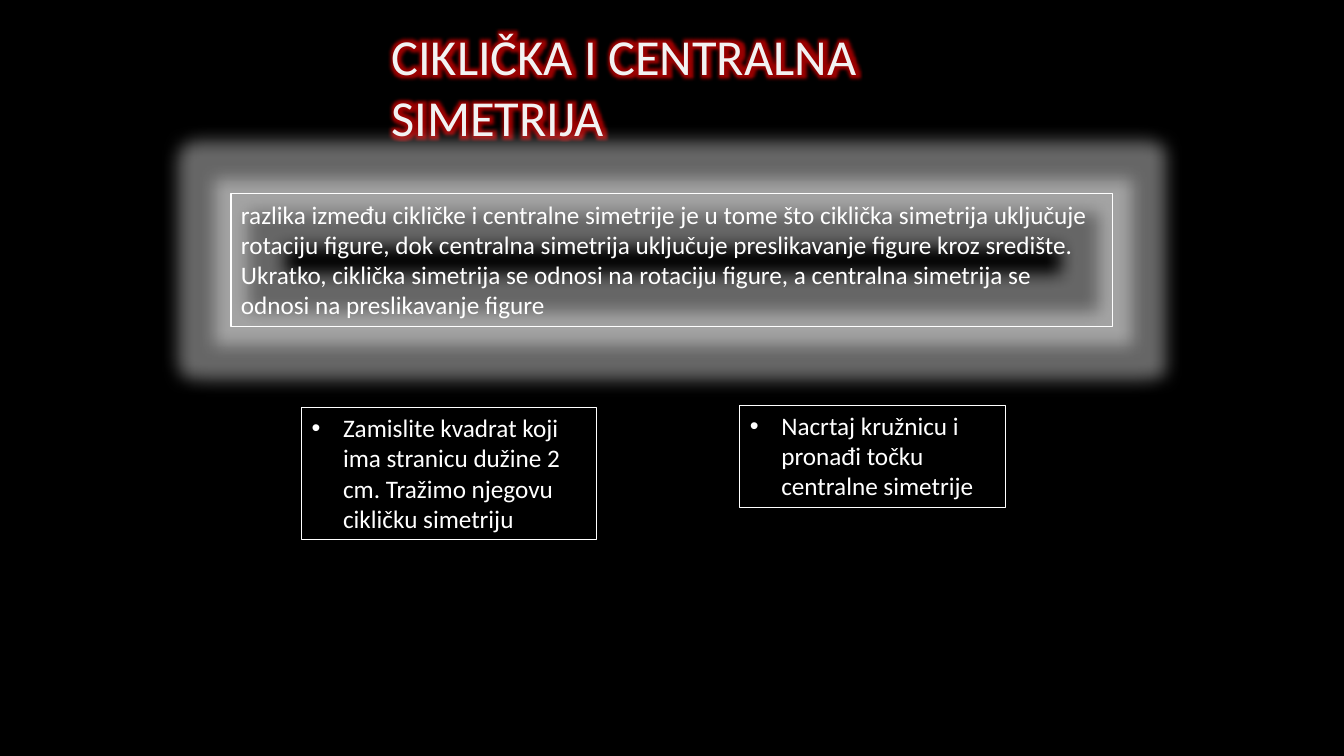
from lxml import etree
from pptx import Presentation
from pptx.dml.color import RGBColor
from pptx.enum.shapes import MSO_SHAPE
from pptx.enum.text import MSO_ANCHOR, MSO_AUTO_SIZE, PP_ALIGN
from pptx.oxml.ns import qn
from pptx.util import Pt

RECT = MSO_SHAPE.RECTANGLE
TOP = MSO_ANCHOR.TOP
LEFT = PP_ALIGN.LEFT
GROW = MSO_AUTO_SIZE.SHAPE_TO_FIT_TEXT
FONT = "Calibri"
COLORS = {"black": "000000", "white": "FFFFFF", "title": "F2F2F2", "red": "FF0000"}

TITLE = "CIKLIČKA I CENTRALNA SIMETRIJA"
INTRO = (
    "razlika između cikličke i centralne simetrije je u tome što ciklička "
    "simetrija uključuje rotaciju figure, dok centralna simetrija uključuje "
    "preslikavanje figure kroz središte. Ukratko, ciklička simetrija se odnosi "
    "na rotaciju figure, a centralna simetrija se odnosi na preslikavanje figure"
)
SQUARE = "Zamislite kvadrat koji ima stranicu dužine 2 cm. Tražimo njegovu cikličku simetriju"
CIRCLE = "Nacrtaj kružnicu i pronađi točku centralne simetrije"


def color(name):
    return RGBColor.from_string(COLORS[name])


def add_glow(props, name, radius, alpha):
    for old in props.findall(qn("a:effectLst")):
        props.remove(old)
    effects = etree.SubElement(props, qn("a:effectLst"))
    glow = etree.SubElement(effects, qn("a:glow"), rad=str(Pt(radius)))
    tone = etree.SubElement(glow, qn("a:srgbClr"), val=COLORS[name])
    etree.SubElement(tone, qn("a:alpha"), val=str(alpha * 1000))


def add_rect(slide, box, line, width):
    shape = slide.shapes.add_shape(RECT, *map(Pt, box))
    shape.shadow.inherit = False
    shape.fill.background()
    shape.line.color.rgb = color(line)
    shape.line.width = Pt(width)
    return shape


def set_text(shape, text, size, tone, bullet=False):
    frame = shape.text_frame
    frame.word_wrap = True
    frame.auto_size = GROW
    frame.vertical_anchor = TOP
    para = frame.paragraphs[0]
    para.text = text
    para.alignment = LEFT
    if bullet:
        props = para._p.get_or_add_pPr()
        props.set("marL", str(Pt(22.5)))
        props.set("indent", str(Pt(-22.5)))
        etree.SubElement(props, qn("a:buFont"), typeface="Arial")
        etree.SubElement(props, qn("a:buChar"), char="•")
    para.font.name = FONT
    para.font.size = Pt(size)
    para.font.color.rgb = color(tone)
    return para


def add_title(slide, box):
    shape = slide.shapes.add_textbox(*map(Pt, box))
    para = set_text(shape, TITLE, 36, "title")
    add_glow(para.runs[0]._r.get_or_add_rPr(), "red", 10, 60)


def add_note(slide, box, text, bullet=False):
    shape = add_rect(slide, box, "white", 0.75)
    set_text(shape, text, 18, "white", bullet)
    return shape


def main():
    deck = Presentation()
    deck.slide_width, deck.slide_height = Pt(960), Pt(540)
    slide = deck.slides.add_slide(deck.slide_layouts[6])

    back = add_rect(slide, (0, 0, 960, 540), "black", 1)
    back.fill.solid()
    back.fill.fore_color.rgb = color("black")

    add_note(slide, (215.5, 291, 210.5, 94.5), SQUARE, bullet=True)
    add_note(slide, (528.5, 289.5, 190, 72.7), CIRCLE, bullet=True)
    add_title(slide, (272.5, 14.5, 389, 94.5))
    intro = add_note(slide, (165, 138.5, 630, 94.5), INTRO)
    add_glow(intro._element.spPr, "white", 25, 40)

    deck.save("out.pptx")


if __name__ == "__main__":
    main()
